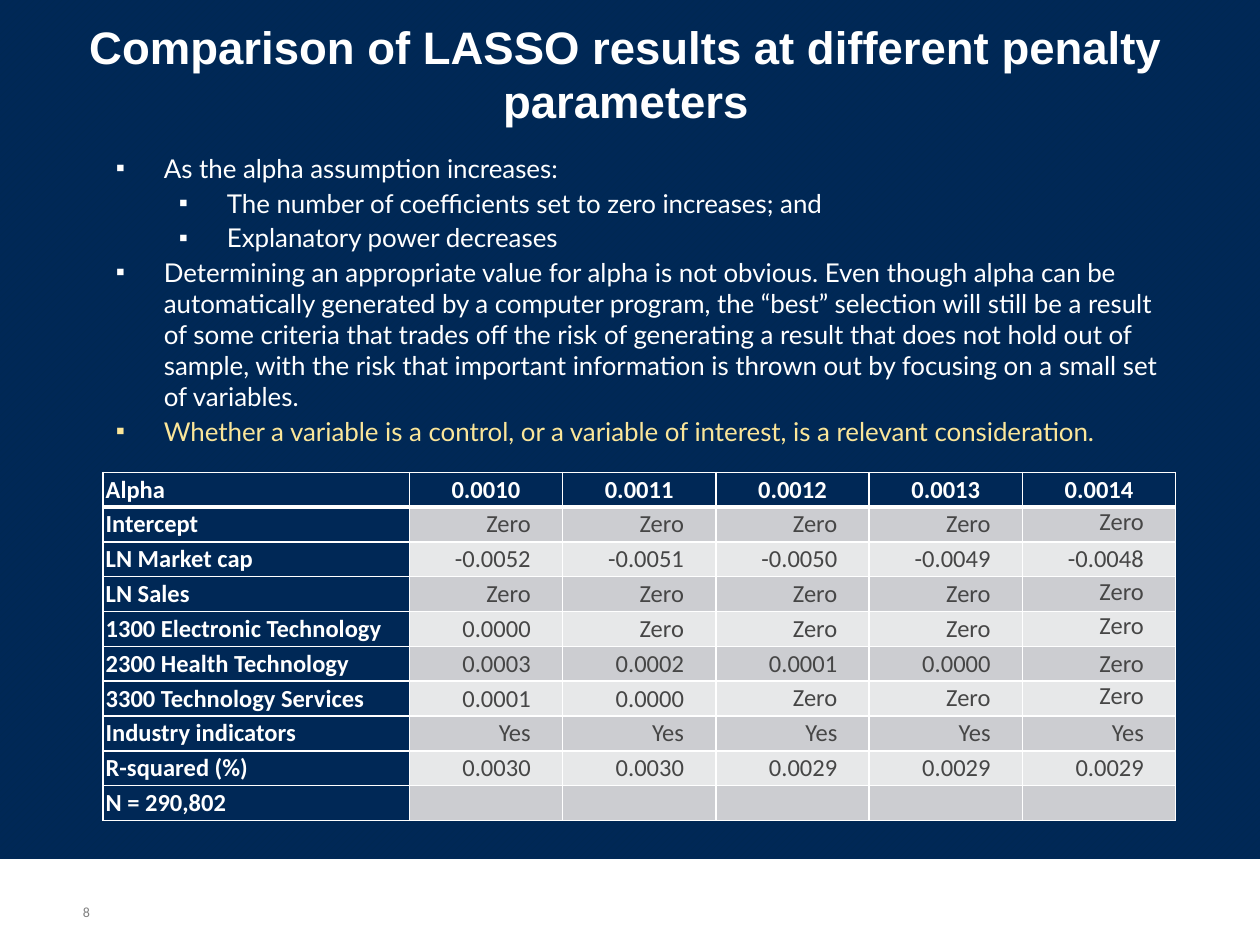
from lxml.etree import SubElement
from pptx import Presentation
from pptx.dml.color import RGBColor
from pptx.enum.dml import MSO_PATTERN
from pptx.enum.shapes import MSO_SHAPE
from pptx.enum.text import MSO_ANCHOR as Anchor, MSO_AUTO_SIZE as AutoSize, PP_ALIGN as Align
from pptx.oxml import parse_xml
from pptx.oxml.ns import nsdecls, qn
from pptx.util import Cm, Pt

NAVY, WHITE, GREY = "002856", "FFFFFF", "464646"
BANDS = ("CCCDD1", "E7E8E9")

BULLETS = [
    (0, "As the alpha assumption increases:", WHITE),
    (1, "The number of coefficients set to zero increases; and", WHITE),
    (1, "Explanatory power decreases", WHITE),
    (0, "Determining an appropriate value for alpha is not obvious. Even though alpha can be "
        "automatically generated by a computer program, the “best” selection will still be a "
        "result of some criteria that trades off the risk of generating a result that does not "
        "hold out of sample, with the risk that important information is thrown out by focusing "
        "on a small set of variables.", WHITE),
    (0, "Whether a variable is a control, or a variable of interest, is a relevant "
        "consideration.", "FBE699"),
]

RESULTS = [
    ("Alpha", "0.0010", "0.0011", "0.0012", "0.0013", "0.0014"),
    ("Intercept", "Zero", "Zero", "Zero", "Zero", "Zero"),
    ("LN Market cap", "-0.0052", "-0.0051", "-0.0050", "-0.0049", "-0.0048"),
    ("LN Sales", "Zero", "Zero", "Zero", "Zero", "Zero"),
    ("1300 Electronic Technology", "0.0000", "Zero", "Zero", "Zero", "Zero"),
    ("2300 Health Technology", "0.0003", "0.0002", "0.0001", "0.0000", "Zero"),
    ("3300 Technology Services", "0.0001", "0.0000", "Zero", "Zero", "Zero"),
    ("Industry indicators", "Yes", "Yes", "Yes", "Yes", "Yes"),
    ("R-squared (%)", "0.0030", "0.0030", "0.0029", "0.0029", "0.0029"),
    ("N = 290,802", "", "", "", "", ""),
]


def rgb(color):
    return RGBColor.from_string(color)


def write(p, text, font="Calibri", size=14, color=WHITE, bold=False, align=Align.LEFT):
    p.alignment = align
    if not text:
        SubElement(p._p, qn("a:endParaRPr"), sz=str(size * 100))
        return
    r = p.add_run()
    r.text = text
    r.font.name = font
    r.font.size = Pt(size)
    r.font.bold = bold
    r.font.color.rgb = rgb(color)


def place(sp, left, top, width, height):
    sp.left, sp.top, sp.width, sp.height = Cm(left), Cm(top), Cm(width), Cm(height)


def set_insets(obj, left, top, right, bottom):
    obj.margin_left, obj.margin_top = Cm(left), Cm(top)
    obj.margin_right, obj.margin_bottom = Cm(right), Cm(bottom)


def set_bullet(p, level, char="▪"):
    pPr = p._p.get_or_add_pPr()
    pPr.set("marL", str(Cm(0.97 + 1.27 * level)))
    pPr.set("indent", str(Cm(-0.97)))
    SubElement(pPr, qn("a:buChar"), char=char)


def set_borders(cell, **widths):
    tcPr = cell._tc.get_or_add_tcPr()
    for i, side in enumerate("LRTB"):
        width = Pt(widths.get(side, 1))
        tcPr.insert(i, parse_xml(
            f'<a:ln{side} {nsdecls("a")} w="{width}"><a:solidFill>'
            f'<a:srgbClr val="{WHITE}"/></a:solidFill></a:ln{side}>'))


def add_title(s, left, top, width, height):
    sp = s.shapes.title
    place(sp, left, top, width, height)
    tf = sp.text_frame
    tf.auto_size = AutoSize.NONE
    tf.vertical_anchor = Anchor.MIDDLE
    set_insets(tf, 0.18, 0.18, 0.18, 0.18)
    write(tf.paragraphs[0], "Comparison of LASSO results at different penalty parameters",
          font="Arial", size=26, bold=True, align=Align.CENTER)


def add_bullets(s, left, top, width, height):
    sp = s.placeholders[1]
    place(sp, left, top, width, height)
    tf = sp.text_frame
    tf.auto_size = AutoSize.NONE
    for i, (level, text, color) in enumerate(BULLETS):
        p = tf.add_paragraph() if i else tf.paragraphs[0]
        p.level = level
        p.space_before, p.space_after = Pt(0), Pt(2)
        set_bullet(p, level)
        write(p, text, font="Lato", size=14.8, color=color)


def fill_cell(cell, text, row, col):
    header, label = row == 0, col == 0
    dark = header or label
    last = col == len(RESULTS[0]) - 1
    pad = 0 if last else 0.05
    side = 0.18 if last else 0.05
    set_insets(cell, side, pad, side if dark else 0.64, pad)
    raised = text == "Zero" and RESULTS[row][0] != "2300 Health Technology"
    cell.vertical_anchor = Anchor.TOP if raised else Anchor.MIDDLE
    cell.fill.solid()
    cell.fill.fore_color.rgb = rgb(NAVY if dark else BANDS[(row - 1) % 2])
    align = Align.LEFT if label else Align.CENTER if header else Align.RIGHT
    write(cell.text_frame.paragraphs[0], text, color=WHITE if dark else GREY,
          bold=dark, align=align)
    set_borders(cell, T=3 if row == 1 else 1, B=3 if header else 1)


def add_results(s, left, top, width, height, label_width=6.17):
    rows, cols = len(RESULTS), len(RESULTS[0])
    table = s.shapes.add_table(rows, cols, Cm(left), Cm(top), Cm(width), Cm(height)).table
    table.horz_banding = False
    for i, column in enumerate(table.columns):
        column.width = Cm((width - label_width) / (cols - 1) if i else label_width)
    for i, values in enumerate(RESULTS):
        table.rows[i].height = Cm(height / rows)
        for j, text in enumerate(values):
            fill_cell(table.cell(i, j), text, i, j)


def add_footer(s, left, top, width, height):
    band = s.shapes.add_shape(MSO_SHAPE.RECTANGLE, Cm(left), Cm(top), Cm(width), Cm(height))
    band.shadow.inherit = False
    band.fill.solid()
    band.fill.fore_color.rgb = rgb(WHITE)
    band.line.fill.background()
    sp = s.shapes.add_textbox(Cm(left + 1.42), Cm(top + 0.46), Cm(0.91), Cm(0.89))
    tf = sp.text_frame
    tf.word_wrap = True
    tf.vertical_anchor = Anchor.BOTTOM
    write(tf.paragraphs[0], "8", size=8, color="808080")


def add_background(s):
    fill = s.background.fill
    fill.patterned()
    fill.pattern = MSO_PATTERN.WIDE_UPWARD_DIAGONAL
    fill.fore_color.rgb = rgb("002850")
    fill.back_color.rgb = rgb(NAVY)


def main():
    prs = Presentation()
    prs.slide_width, prs.slide_height = Cm(25.4), Cm(19.05)
    s = prs.slides.add_slide(prs.slide_layouts[1])
    add_background(s)
    add_title(s, 1.14, 0.18, 22.96, 2.59)
    add_bullets(s, 2.08, 2.95, 21.82, 6.22)
    add_results(s, 2.08, 9.52, 21.62, 6.96)
    add_footer(s, 0, 17.32, 25.4, 1.73)
    prs.save("out.pptx")


if __name__ == "__main__":
    main()
